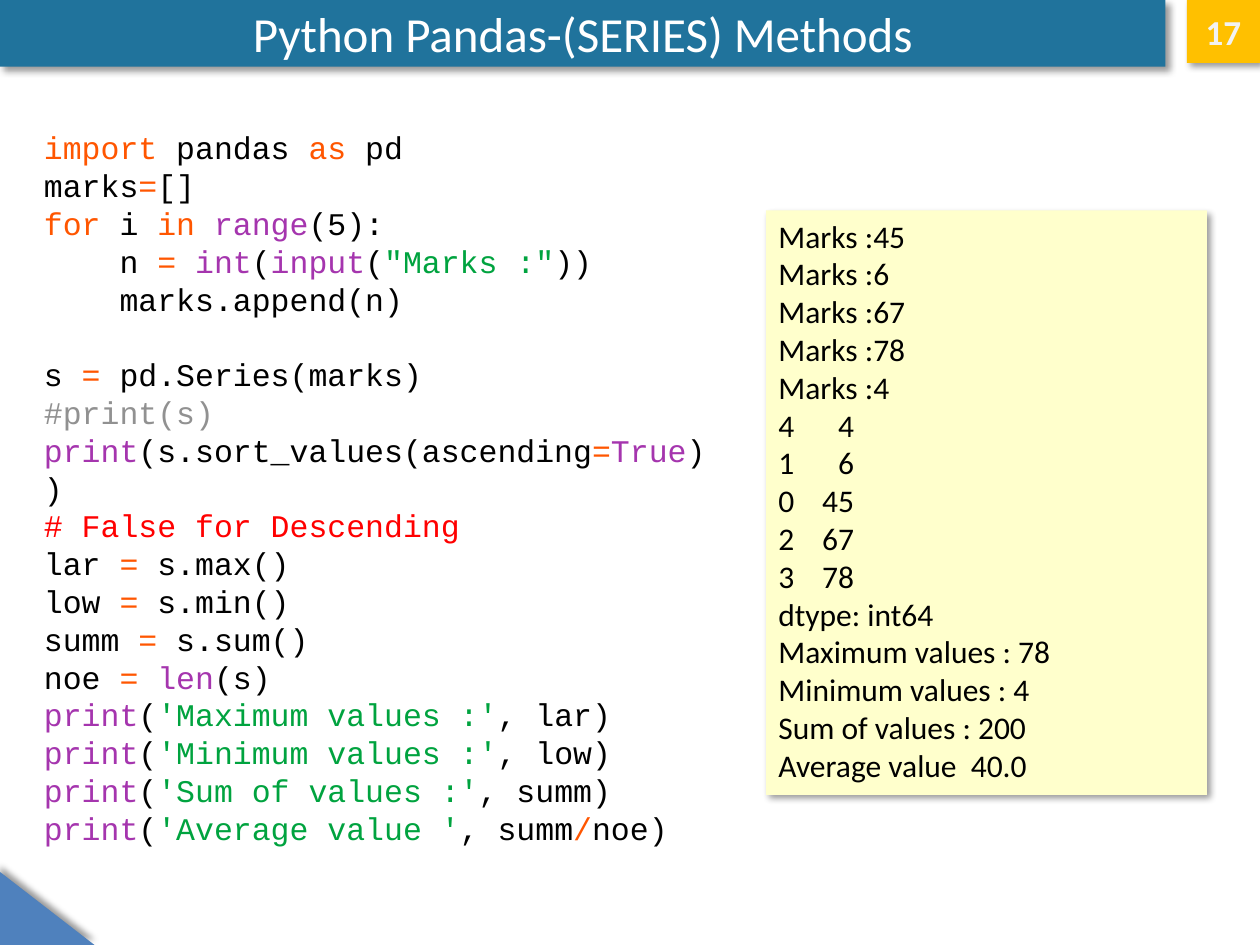
from lxml.etree import SubElement
from pptx import Presentation
from pptx.dml.color import RGBColor
from pptx.enum.shapes import MSO_SHAPE
from pptx.enum.text import MSO_ANCHOR, PP_ALIGN
from pptx.oxml.ns import qn
from pptx.util import Inches, Pt

WHITE = RGBColor(0xFF, 0xFF, 0xFF)
PALE = RGBColor(0xF2, 0xF2, 0xF2)
BLACK = RGBColor(0, 0, 0)
TEAL = RGBColor(0x20, 0x73, 0x9C)
BLUE = RGBColor(0x4F, 0x81, 0xBD)
GOLD = RGBColor(0xFF, 0xC0, 0x00)
CREAM = RGBColor(0xFF, 0xFF, 0xCC)
ORANGE = RGBColor(0xFF, 0x56, 0x00)
PURPLE = RGBColor(0xA5, 0x35, 0xAE)
GREEN = RGBColor(0x00, 0xA3, 0x3F)
GRAY = RGBColor(0x91, 0x91, 0x91)
RED = RGBColor(0xFF, 0, 0)

TITLE = "Python Pandas-(SERIES) Methods"
PAGE = "17"
EQUAL = ("=", ORANGE)
PRINT = ("print", PURPLE)

# Each line of code is a list of plain strings and (text, colour) pairs.
START = [[("import", ORANGE), " pandas ", ("as", ORANGE), " pd"],
         ["marks", EQUAL, "[]"],
         [("for ", ORANGE), "i ", ("in ", ORANGE), ("range", PURPLE), "(5):"]]
LOOP = [["n ", EQUAL, " ", ("int", PURPLE), "(", ("input", PURPLE), "(",
         ('"Marks :"', GREEN), "))"],
        ["marks.append(n)"]]
SERIES = [["s ", EQUAL, " pd.Series(marks)"],
          [("#print(s)", GRAY)],
          [PRINT, "(s.sort_values(ascending", EQUAL, ("True", PURPLE), "))"],
          [("# False for Descending", RED)]]
STATS = [[name + " ", EQUAL, f" s.{call}()"]
         for name, call in [("lar", "max"), ("low", "min"), ("summ", "sum")]]
STATS.append(["noe ", EQUAL, " ", ("len", PURPLE), "(s)"])
REPORT = [[PRINT, "(", (f"'{label}'", GREEN), f", {name})"]
          for label, name in [("Maximum values :", "lar"),
                              ("Minimum values :", "low"),
                              ("Sum of values :", "summ")]]
REPORT.append([PRINT, "(", ("'Average value '", GREEN), ", summ",
               ("/", ORANGE), "noe)"])

MARKS = [f"Marks :{mark}" for mark in (45, 6, 67, 78, 4)]
SORTED = [f"{index}\t{mark}" for index, mark in
          [(4, 4), (1, 6), (0, 45), (2, 67), (3, 78)]]
TOTALS = ["dtype: int64", "Maximum values : 78", "Minimum values : 4",
          "Sum of values : 200", "Average value  40.0"]

LEAD = Pt(21.6)


def write(frame, lines, size=18, font="Calibri", color=BLACK, bold=False,
          align=PP_ALIGN.LEFT, anchor=MSO_ANCHOR.TOP, lead=None):
    """Fill a text frame with lines and return its paragraphs."""
    frame.word_wrap = True
    frame.vertical_anchor = anchor
    frame.margin_left = frame.margin_right = Inches(0.1)
    frame.margin_top = frame.margin_bottom = Inches(0.05)
    for number, line in enumerate(lines):
        para = frame.paragraphs[0] if number == 0 else frame.add_paragraph()
        para.alignment = align
        if lead:
            para.line_spacing = lead
        for part in [line] if isinstance(line, str) else line:
            words, tint = (part, color) if isinstance(part, str) else part
            run = para.add_run()
            run.text = words
            run.font.name = font
            run.font.size = Pt(size)
            run.font.bold = bold
            run.font.color.rgb = tint
    return frame.paragraphs


def paint(shape, color, angle=45, shade=True):
    """Give a shape a plain fill, no line and a soft shadow."""
    shape.fill.solid()
    shape.fill.fore_color.rgb = color
    shape.line.fill.background()
    shape.shadow.inherit = False
    if shade:
        effects = shape._element.spPr.find(qn("a:effectLst"))
        drop = SubElement(effects, qn("a:outerShdw"), blurRad=str(Pt(4)),
                          dist=str(Pt(3)), dir=str(angle * 60000),
                          algn="tl", rotWithShape="0")
        tone = SubElement(drop, qn("a:srgbClr"), val="000000")
        SubElement(tone, qn("a:alpha"), val="40000")


def place(slide, kind, box, color, **look):
    """Add a painted preset shape."""
    shape = slide.shapes.add_shape(kind, *map(Inches, box))
    paint(shape, color, **look)
    return shape


deck = Presentation()
deck.slide_width, deck.slide_height = Inches(10), Inches(7.5)
slide = deck.slides.add_slide(deck.slide_layouts[5])

place(slide, MSO_SHAPE.RIGHT_TRIANGLE, (0, 6.92, 0.75, 0.58), BLUE, angle=270)

title = slide.shapes.title
title.left, title.top, title.width, title.height = map(
    Inches, (0, 0, 9.25, 0.53))
paint(title, TEAL)
write(title.text_frame, [TITLE], size=28, color=WHITE,
      align=PP_ALIGN.CENTER, anchor=MSO_ANCHOR.MIDDLE)

badge = place(slide, MSO_SHAPE.RECTANGLE, (9.42, 0, 0.58, 0.5), GOLD,
              shade=True)
write(badge.text_frame, [PAGE], size=20, color=PALE, bold=True,
      align=PP_ALIGN.CENTER, anchor=MSO_ANCHOR.MIDDLE)

code = slide.shapes.add_textbox(*map(Inches, (0.25, 0.97, 5.58, 5.55)))
paras = write(code.text_frame, START + LOOP + SERIES + STATS + REPORT,
              font="Courier New", lead=LEAD)
first = len(START)
after = first + len(LOOP)
for para in paras[first:after]:
    para._p.get_or_add_pPr().set("marL", str(Inches(0.6)))
paras[after].space_before = LEAD

output = place(slide, MSO_SHAPE.RECTANGLE, (6.08, 1.67, 3.5, 4.64), CREAM)
paras = write(output.text_frame, MARKS + SORTED + TOTALS, lead=LEAD)
for para in paras[len(MARKS):len(MARKS) + len(SORTED)]:
    tabs = SubElement(para._p.get_or_add_pPr(), qn("a:tabLst"))
    SubElement(tabs, qn("a:tab"), pos=str(Inches(0.6)), algn="r")

deck.save("out.pptx")
